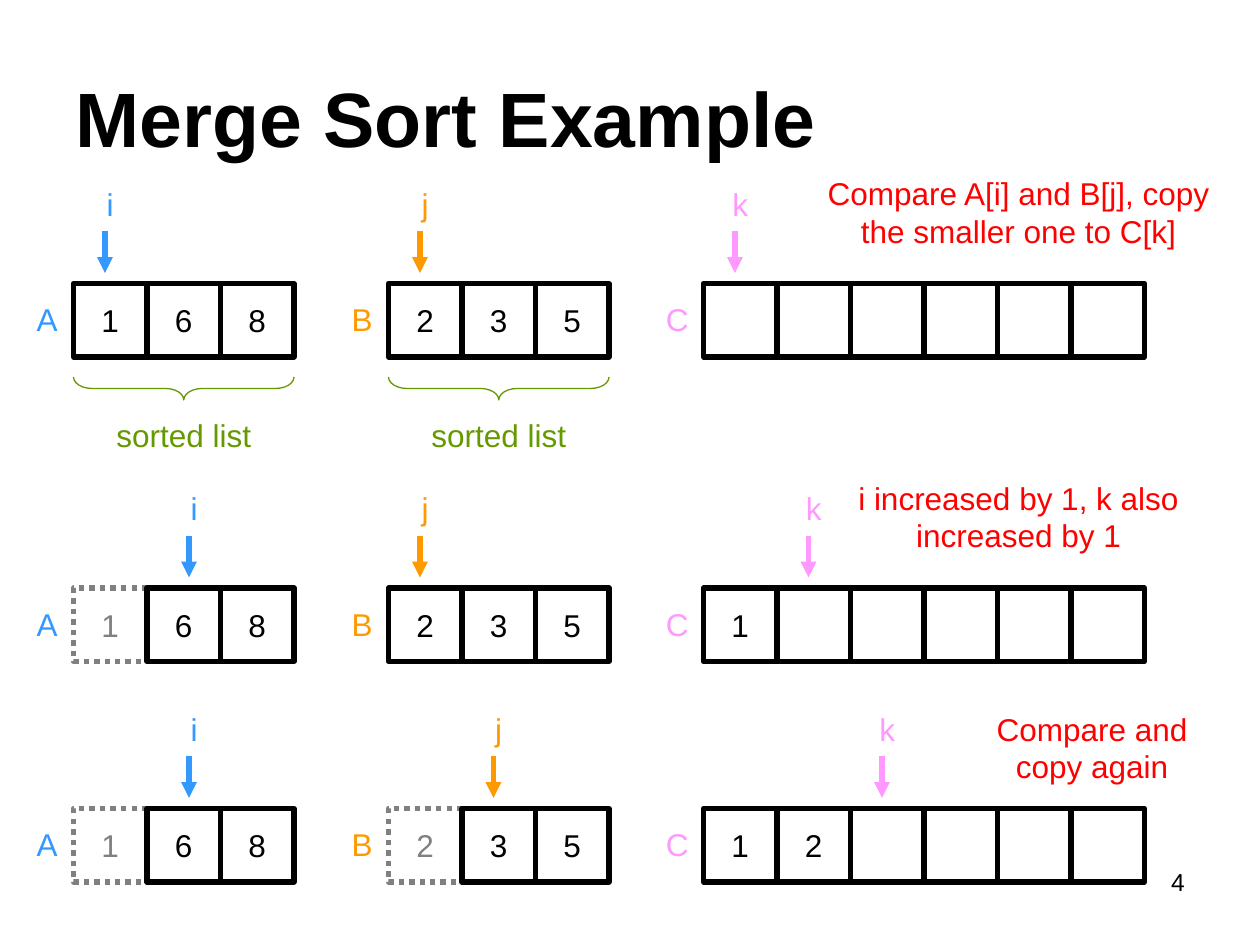
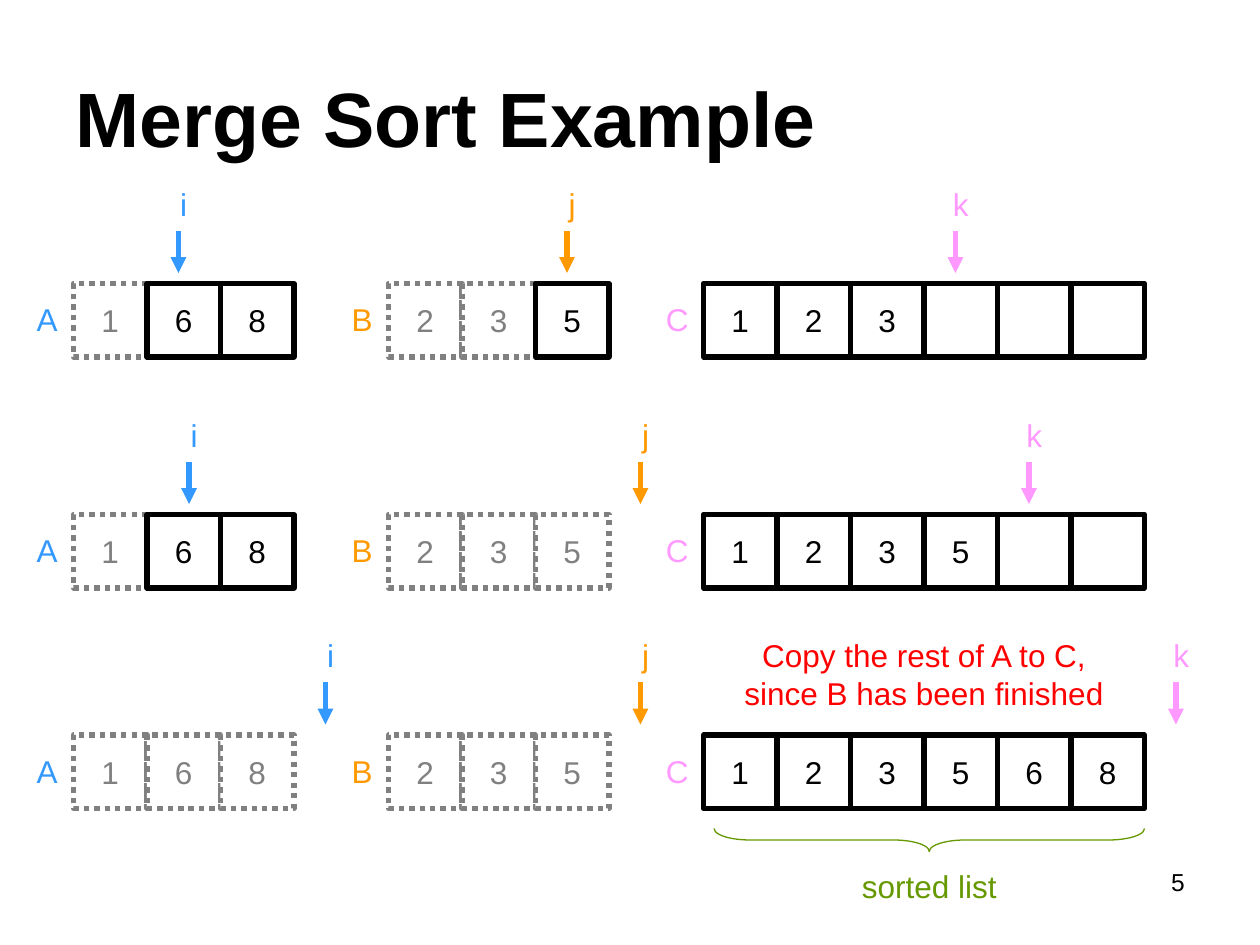
from lxml.etree import SubElement
from pptx import Presentation
from pptx.dml.color import RGBColor
from pptx.enum.dml import MSO_LINE
from pptx.enum.shapes import MSO_CONNECTOR, MSO_SHAPE
from pptx.enum.text import MSO_ANCHOR, PP_ALIGN
from pptx.oxml.ns import qn
from pptx.util import Inches, Pt

BLACK = RGBColor(0x00, 0x00, 0x00)
WHITE = RGBColor(0xFF, 0xFF, 0xFF)
GRAY = RGBColor(0x80, 0x80, 0x80)
BLUE = RGBColor(0x33, 0x99, 0xFF)
ORANGE = RGBColor(0xFF, 0x99, 0x00)
PINK = RGBColor(0xFF, 0x99, 0xFF)
GREEN = RGBColor(0x66, 0x99, 0x00)
RED = RGBColor(0xFF, 0x00, 0x00)

# The slide is a grid of 120 columns by 90 rows
deck = Presentation()
deck.slide_width, deck.slide_height = Inches(10), Inches(7.5)
UNIT = deck.slide_width / 120
CELL = 7
LINE_HEIGHT = 4.8
BRACE_DEPTH = 2.19

LIST_A = [1, 6, 8]
LIST_B = [2, 3, 5]
MERGED = sorted(LIST_A + LIST_B)


def grid(*lengths):
    return [round(length * UNIT) for length in lengths]


def add_text(page, text, place, color, align=PP_ALIGN.CENTER, size=18):
    box = page.shapes.add_textbox(*grid(*place))
    box.text_frame.word_wrap = True
    box.text_frame.text = text
    para = box.text_frame.paragraphs[0]
    para.alignment = align
    font = para.runs[0].font
    font.name, font.size, font.color.rgb = "Arial", Pt(size), color


# Each step: top row, items taken from A and B, shift of pointer i,
# first list column and length of each brace,
# and a note with its column, rise above the cells and width
slides = [
    (4, [
        (27, 0, 0, 0, [(7, 21), (37, 21)],
         ("Compare A[i] and B[j], copy the smaller one to C[k]", 77, 11, 40)),
        (56, 1, 0, 1, [], ("i increased by 1, k also increased by 1", 77, 11, 40)),
        (77, 1, 1, 1, [], ("Compare and copy again", 91, 10, 26)),
    ]),
    (5, [
        (27, 1, 2, 0, [], None),
        (49, 1, 3, 1, [], None),
        (70, 3, 3, 0, [(68, 41)],
         ("Copy the rest of A to C, since B has been finished", 68, 10, 40)),
    ]),
]

for number, steps in slides:
    page = deck.slides.add_slide(deck.slide_layouts[5])

    # Title and page number
    title = page.shapes.title
    title.left, title.top, title.width, title.height = grid(6, 3.6, 108, 15)
    title.text_frame.text = "Merge Sort Example"
    title.text_frame.vertical_anchor = MSO_ANCHOR.MIDDLE
    para = title.text_frame.paragraphs[0]
    para.alignment = PP_ALIGN.LEFT
    font = para.runs[0].font
    font.name, font.size, font.bold, font.color.rgb = "Arial", Pt(44), True, BLACK
    add_text(page, str(number), (86, 82, 28, 6.2), BLACK, PP_ALIGN.RIGHT, 14)

    for row, taken_a, taken_b, shift, braces, note in steps:
        copied = taken_a + taken_b
        result = MERGED[:copied] + [""] * (len(MERGED) - copied)
        lists = [
            ("A", "i", BLUE, 7, LIST_A, taken_a, taken_a, shift),
            ("B", "j", ORANGE, 37, LIST_B, taken_b, taken_b, 0),
            ("C", "k", PINK, 67, result, copied, 0, 0),
        ]
        for name, pointer, color, left, values, position, used, nudge in lists:
            # List cells, with used items dotted
            for index, value in enumerate(values):
                cell = page.shapes.add_shape(
                    MSO_SHAPE.RECTANGLE, *grid(left + index * CELL, row, CELL, CELL))
                cell.shadow.inherit = False
                cell.fill.solid()
                cell.fill.fore_color.rgb = WHITE
                ink = GRAY if index < used else BLACK
                cell.line.color.rgb = ink
                cell.line.width = Pt(3)
                if index < used:
                    cell.line.dash_style = MSO_LINE.ROUND_DOT
                if value != "":
                    frame = cell.text_frame
                    frame.text = str(value)
                    frame.word_wrap = False
                    frame.vertical_anchor = MSO_ANCHOR.MIDDLE
                    para = frame.paragraphs[0]
                    para.alignment = PP_ALIGN.CENTER
                    font = para.runs[0].font
                    font.name, font.size, font.color.rgb = "Arial", Pt(18), ink

            # List name, pointer letter and arrow
            add_text(page, name, (left - 5, row + 1, 5, LINE_HEIGHT), color)
            column = left + position * CELL + nudge
            add_text(page, pointer, (column + 1, row - 10, 5, LINE_HEIGHT), color)
            arrow = page.shapes.add_connector(
                MSO_CONNECTOR.STRAIGHT, *grid(column + 3, row - 5, column + 3, row - 1))
            arrow.line.color.rgb = color
            arrow.line.width = Pt(3)
            SubElement(arrow.line._get_or_add_ln(), qn("a:tailEnd"), type="triangle")
            SubElement(arrow._element.spPr, qn("a:effectLst"))

        # Braces under sorted lists, turned to point down
        for left, length in braces:
            center = left + length / 2
            brace = page.shapes.add_shape(MSO_SHAPE.RIGHT_BRACE, *grid(
                center - BRACE_DEPTH / 2, row + 10 - length / 2, BRACE_DEPTH, length))
            brace.rotation = 90
            brace.adjustments[0] = length / BRACE_DEPTH / 12
            brace.shadow.inherit = False
            brace.fill.background()
            brace.line.color.rgb = GREEN
            brace.line.width = Pt(0.75)
            add_text(page, "sorted list", (center - 10.5, row + 12, 21, LINE_HEIGHT), GREEN)

        # Explanation of the step
        if note:
            text, column, rise, width = note
            add_text(page, text, (column, row - rise, width, 8.4), RED)

deck.save("out.pptx")
